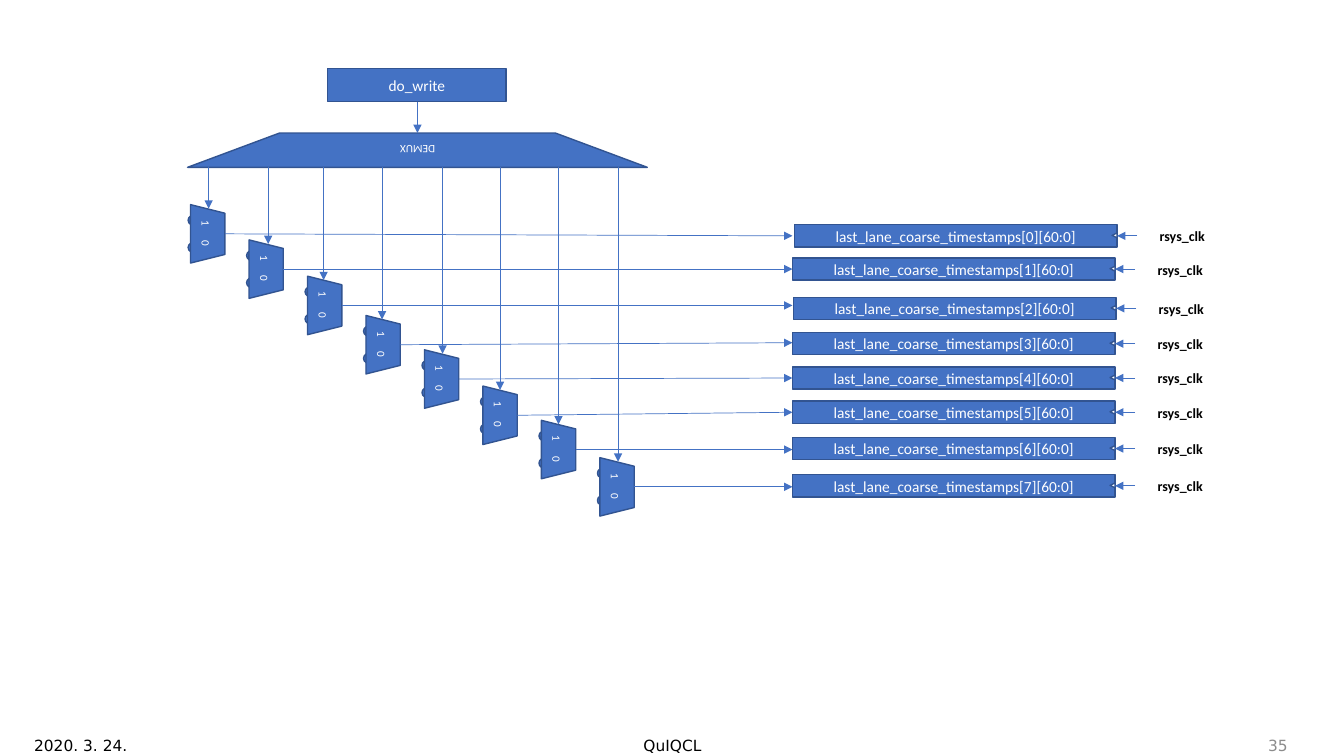
import dataclasses

import lxml.etree
import pptx
import pptx.dml.color
import pptx.enum.shapes
import pptx.enum.text
import pptx.oxml.ns
import pptx.util

PX = 9144
SHAPES = pptx.enum.shapes.MSO_SHAPE
CONNECTORS = pptx.enum.shapes.MSO_CONNECTOR
ALIGN = pptx.enum.text.PP_ALIGN
ANCHOR = pptx.enum.text.MSO_ANCHOR


@dataclasses.dataclass(frozen=True)
class Theme:
    blue: str = "4472C4"
    edge: str = "325491"
    white: str = "FFFFFF"
    black: str = "000000"
    gray: str = "8C8C8C"
    font: str = "Calibri"
    footer_font: str = "DejaVu Sans"
    small: int = 8
    clock: int = 10
    normal: int = 11
    outline: float = 1
    wire: float = 0.5


@dataclasses.dataclass(frozen=True)
class Lane:
    mux_top: int
    drop_x: int
    wire_end: int
    register_left: int
    register_top: int


THEME = Theme()
DEMUX_BOTTOM = 166
MUX_LEFT, MUX_STEP = 177, 58
MUX_INPUTS = [(10, -2, 10, 11), (10, 25, 10, 11), (11, -1, 12, 11), (13, 24, 12, 11)]
LANES = [
    Lane(215, 207, 234, 788, 223),
    Lane(250, 266, 267, 786, 256),
    Lane(286, 321, 303, 787, 295),
    Lane(325, 379, 340, 786, 330),
    Lane(359, 439, 375, 786, 364),
    Lane(395, 496, 409, 786, 398),
    Lane(429, 554, 446, 786, 434),
    Lane(466, 613, 483, 786, 471),
]
FOOTERS = [
    (24, 300, "2020. 3. 24.", ALIGN.LEFT, THEME.black),
    (442, 450, "QuIQCL", ALIGN.CENTER, THEME.black),
    (987, 300, "35", ALIGN.RIGHT, THEME.gray),
]


def rgb(color):
    return pptx.dml.color.RGBColor.from_string(color)


def apply(target, values):
    for name, value in values.items():
        setattr(target, name, value)


def scaled(*lengths):
    return [pptx.util.Emu(length * PX) for length in lengths]


def write(shape, text, size, color=THEME.white, font=THEME.font, bold=False,
          align=ALIGN.CENTER, anchor=ANCHOR.MIDDLE, left=10, vertical=0, tab=None):
    side, edge, right = scaled(left, vertical, 0 if tab else 10)
    frame = shape.text_frame
    apply(frame, {"word_wrap": True, "vertical_anchor": anchor, "margin_left": side,
                  "margin_right": right, "margin_top": edge, "margin_bottom": edge})
    paragraph = frame.paragraphs[0]
    paragraph.text = text
    paragraph.alignment = align
    if tab:
        tag = pptx.oxml.ns.qn
        stops = lxml.etree.SubElement(paragraph._p.get_or_add_pPr(), tag("a:tabLst"))
        lxml.etree.SubElement(stops, tag("a:tab"), pos=str(tab * PX), algn="l")
    apply(paragraph.font, {"name": font, "size": pptx.util.Pt(size), "bold": bold})
    paragraph.font.color.rgb = rgb(color)


def add_block(shapes, kind, box, rotation=0, fill=THEME.blue):
    shape = shapes.add_shape(kind, *scaled(*box))
    shape.rotation = rotation
    shape.shadow.inherit = False
    shape.fill.solid()
    shape.fill.fore_color.rgb = rgb(fill)
    shape.line.color.rgb = rgb(THEME.edge)
    shape.line.width = pptx.util.Pt(THEME.outline)
    return shape


def add_label(shapes, box, text, size, **values):
    write(shapes.add_textbox(*scaled(*box)), text, size, **values)


def add_arrow(shapes, start, end, kind=CONNECTORS.STRAIGHT):
    connector = shapes.add_connector(kind, *scaled(*start, *end))
    connector.line.color.rgb = rgb(THEME.blue)
    connector.line.width = pptx.util.Pt(THEME.wire)
    tag = pptx.oxml.ns.qn
    lxml.etree.SubElement(connector.line._get_or_add_ln(), tag("a:tailEnd"), type="triangle")
    lxml.etree.SubElement(connector._element.spPr, tag("a:effectLst"))


def add_mux(slide, left, top):
    shapes = slide.shapes.add_group_shape().shapes
    for x, y, width, height in MUX_INPUTS:
        add_block(shapes, SHAPES.OVAL, (left + x, top + y, width, height), 90)
    body = add_block(shapes, SHAPES.TRAPEZOID, (left, top, 58, 34), 90)
    write(body, "1\t0", THEME.small, align=ALIGN.LEFT, tab=20)


def add_register(slide, index, left, top):
    shapes = slide.shapes.add_group_shape().shapes
    middle = top + 11
    register = add_block(shapes, SHAPES.RECTANGLE, (left, top, 320, 22))
    write(register, f"last_lane_coarse_timestamps[{index}][60:0]", THEME.normal)
    add_block(shapes, SHAPES.ISOSCELES_TRIANGLE, (left + 315, top + 8, 5, 5), 270, THEME.white)
    add_label(shapes, (left + 340, top - 2, 89, 25), "rsys_clk", THEME.clock,
              color=THEME.black, bold=True, anchor=ANCHOR.TOP, vertical=5)
    add_arrow(shapes, (left + 340, middle), (left + 320, middle), CONNECTORS.ELBOW)


def add_source(slide):
    demux = add_block(slide.shapes, SHAPES.FLOWCHART_MANUAL_OPERATION, (186, 132, 456, 34), 180)
    write(demux, "DEMUX", THEME.small)
    write(add_block(slide.shapes, SHAPES.RECTANGLE, (325, 68, 177, 33)), "do_write", THEME.normal)
    add_arrow(slide.shapes, (414, 101), (414, 132))


def add_lane(slide, index, lane):
    mux_left = MUX_LEFT + MUX_STEP * index
    add_mux(slide, mux_left, lane.mux_top)
    add_arrow(slide.shapes, (lane.drop_x, DEMUX_BOTTOM), (lane.drop_x, lane.mux_top - 8))
    add_arrow(slide.shapes, (mux_left + 46, lane.mux_top + 17), (786, lane.wire_end))
    add_register(slide, index, lane.register_left, lane.register_top)


def main():
    presentation = pptx.Presentation()
    width, height = scaled(1333, 750)
    apply(presentation, {"slide_width": width, "slide_height": height})
    slide = presentation.slides.add_slide(presentation.slide_layouts[6])
    add_source(slide)
    for index, lane in enumerate(LANES):
        add_lane(slide, index, lane)
    for left, width, text, align, color in FOOTERS:
        add_label(slide.shapes, (left, 719, width, 40), text, THEME.normal,
                  color=color, font=THEME.footer_font, align=align)
    presentation.save("out.pptx")


if __name__ == "__main__":
    main()
